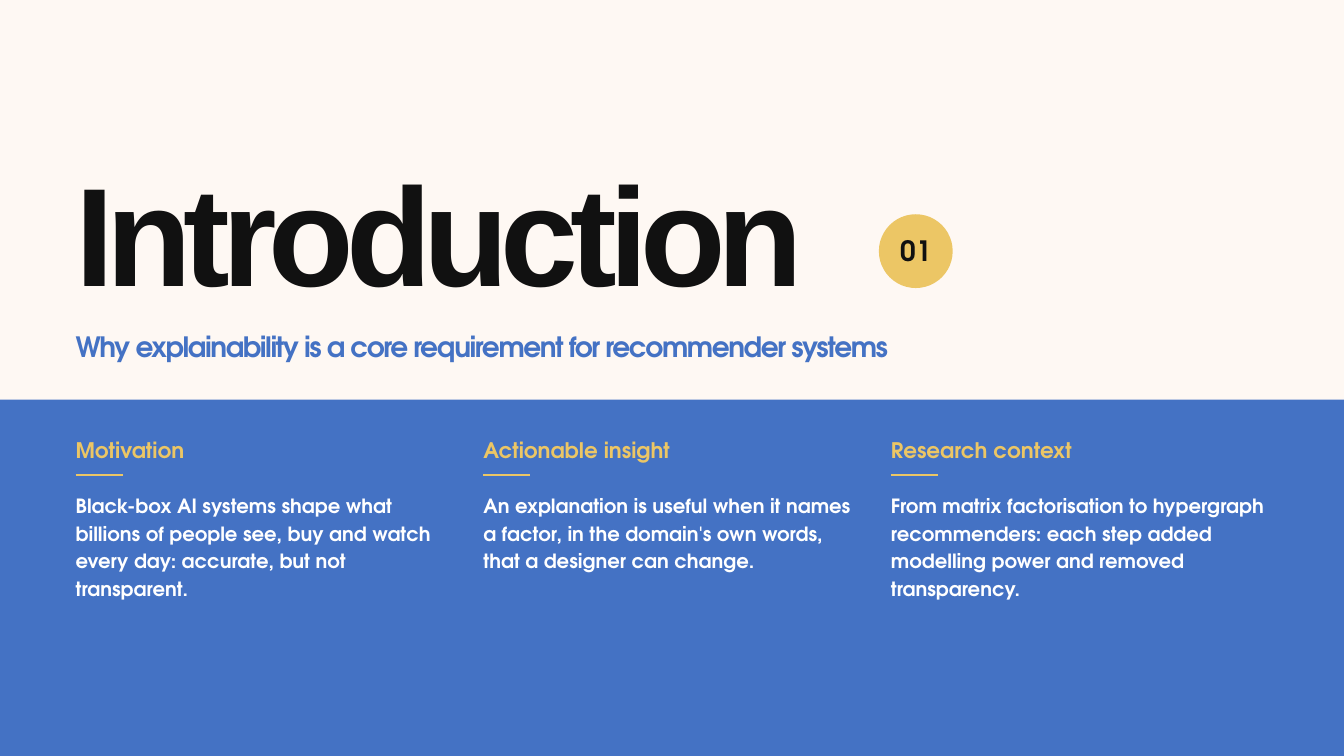
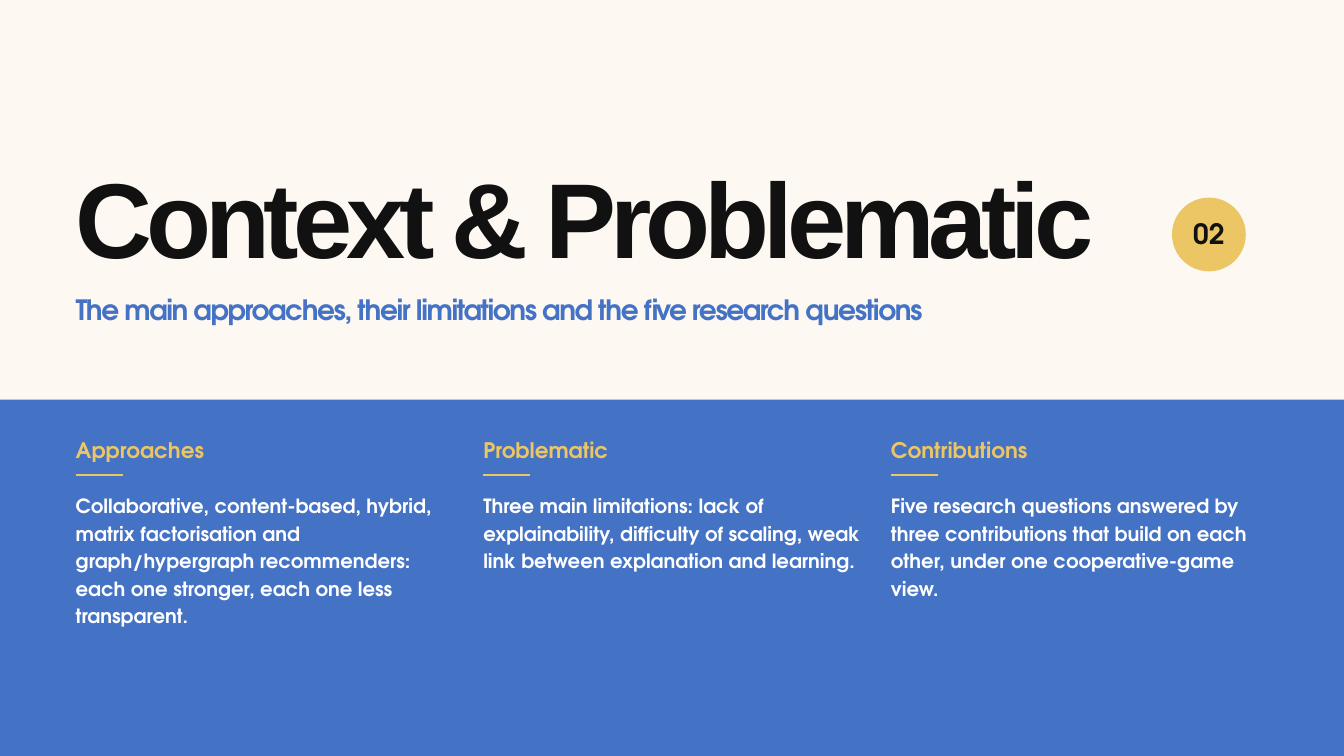
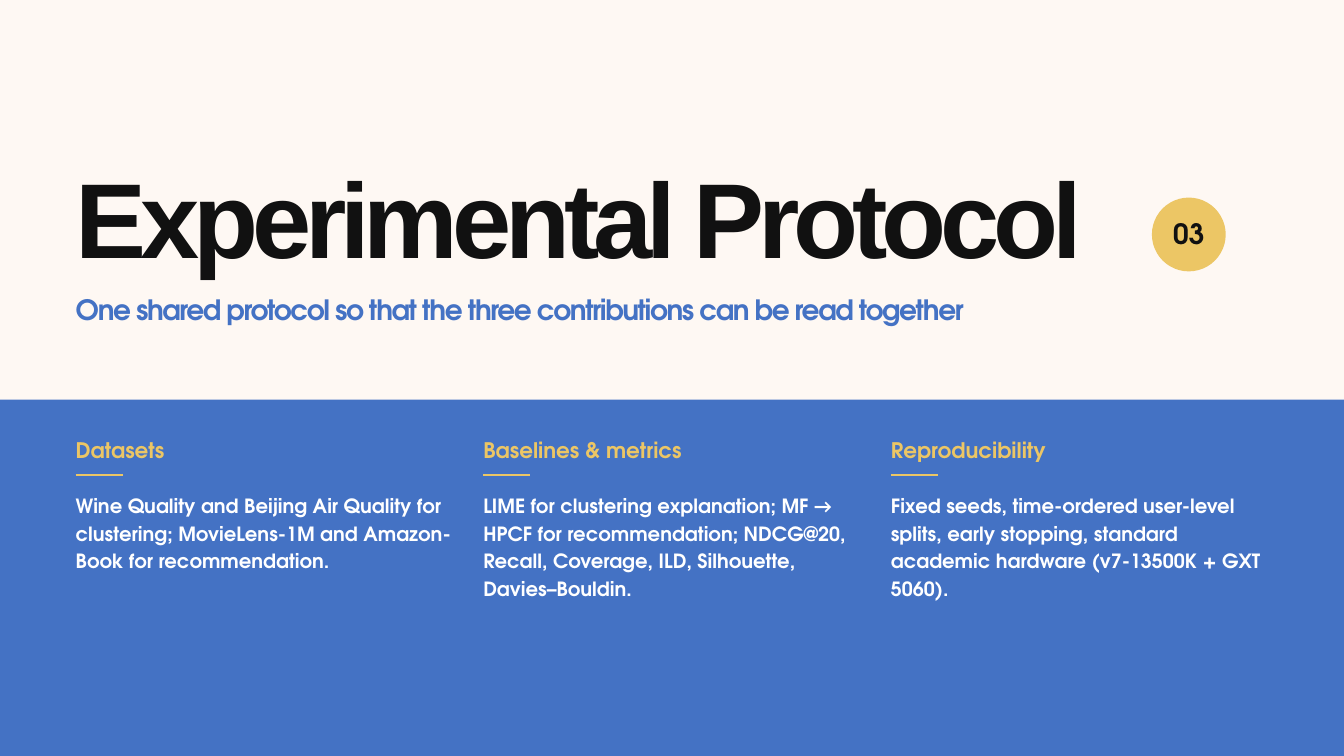
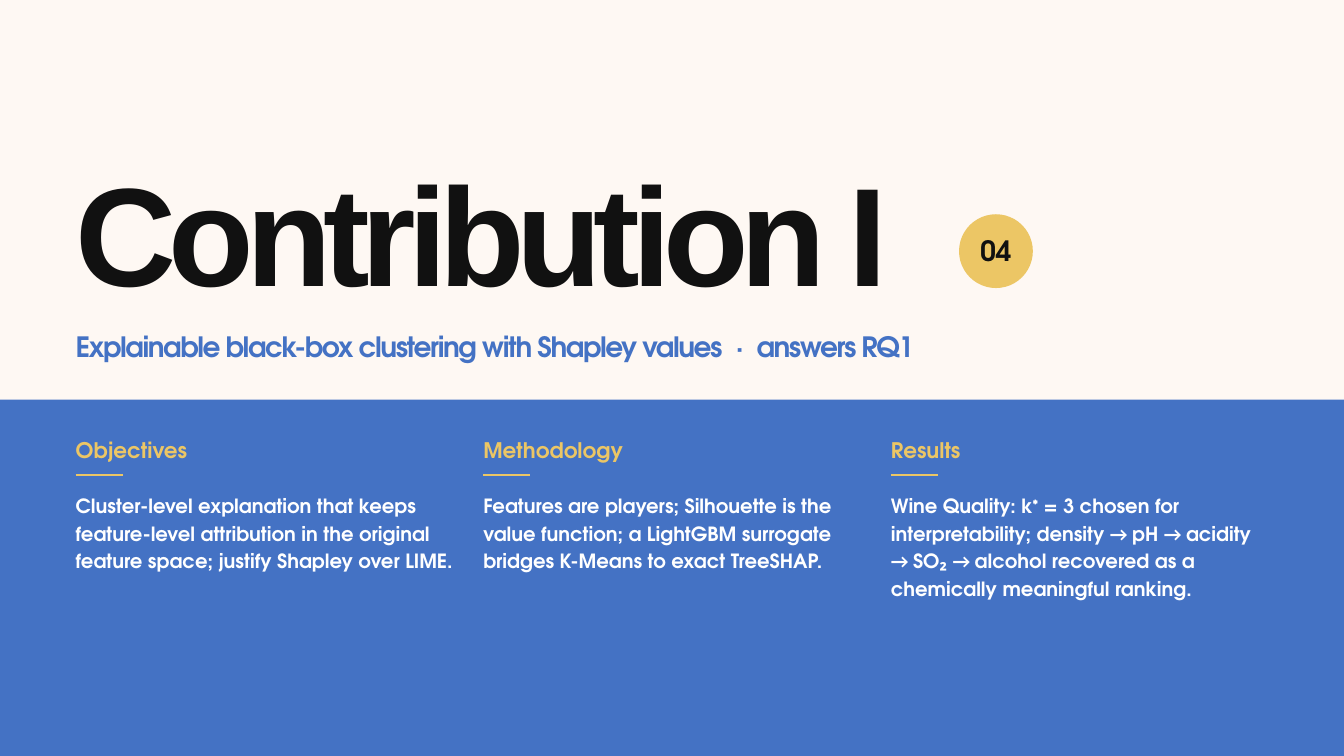
import collections

import pptx
import pptx.dml.color
import pptx.enum.shapes
import pptx.enum.text
import pptx.oxml.ns
import pptx.util
from lxml import etree

Cm = pptx.util.Cm
Pt = pptx.util.Pt
RGBColor = pptx.dml.color.RGBColor

# Shared look
CREAM = RGBColor(0xFE, 0xF8, 0xF3)
BLUE = RGBColor(0x44, 0x72, 0xC4)
GOLD = RGBColor(0xEC, 0xC6, 0x65)
BLACK = RGBColor(0x11, 0x11, 0x11)
WHITE = RGBColor(0xFF, 0xFF, 0xFF)

TITLE_FONT = "Arial"
BODY_FONT = "TeX Gyre Adventor"
ARROW = ("→ ", {"font": "Calibri"})
WIDE_SPACE = (" ", {"spacing": 5.3})

# Shared layout, in centimetres
SLIDE_WIDTH, SLIDE_HEIGHT = 50.8, 28.58
MARGIN = 2.86
CONTENT_WIDTH = SLIDE_WIDTH - 2 * MARGIN
BAND_TOP = 15.11
COLUMN_GAP = 1.14
BADGE_SIZE = 2.79

# Long titles take the smaller size, which moves the badge and subtitle up
TitleStyle = collections.namedtuple(
    "TitleStyle", "size height badge_top subtitle_top")
LARGE = TitleStyle(150, 6.35, 8.1, 12.4)
SMALL = TitleStyle(114, 4.83, 7.47, 10.97)

Section = collections.namedtuple(
    "Section", "number title style badge_left subtitle columns")

SECTIONS = [
    Section("01", "Introduction", LARGE, 33.22,
            "Why explainability is a core requirement for recommender systems",
            [("Motivation",
              "Black-box AI systems shape what billions of people see, buy and "
              "watch every day: accurate, but not transparent."),
             ("Actionable insight",
              "An explanation is useful when it names a factor, in the "
              "domain's own words, that a designer can change."),
             ("Research context",
              "From matrix factorisation to hypergraph recommenders: each step "
              "added modelling power and removed transparency.")]),
    Section("02", "Context & Problematic", SMALL, 44.3,
            "The main approaches, their limitations and the five research "
            "questions",
            [("Approaches",
              "Collaborative, content-based, hybrid, matrix factorisation and "
              "graph/hypergraph recommenders: each one stronger, each one less "
              "transparent."),
             ("Problematic",
              "Three main limitations: lack of explainability, difficulty of "
              "scaling, weak link between explanation and learning."),
             ("Contributions",
              "Five research questions answered by three contributions that "
              "build on each other, under one cooperative-game view.")]),
    Section("03", "Experimental Protocol", SMALL, 43.54,
            "One shared protocol so that the three contributions can be read "
            "together",
            [("Datasets",
              "Wine Quality and Beijing Air Quality for clustering; "
              "MovieLens-1M and Amazon-Book for recommendation."),
             ("Baselines & metrics",
              ["LIME for clustering explanation; MF ", ARROW,
               "HPCF for recommendation; NDCG@20, Recall, Coverage, ILD, "
               "Silhouette, Davies–Bouldin."]),
             ("Reproducibility",
              "Fixed seeds, time-ordered user-level splits, early stopping, "
              "standard academic hardware (v7-13500K + GXT 5060).")]),
    Section("04", "Contribution I", LARGE, 36.25,
            ["Explainable black-box clustering with Shapley values",
             WIDE_SPACE, "·", WIDE_SPACE, "answers RQ1"],
            [("Objectives",
              "Cluster-level explanation that keeps feature-level attribution "
              "in the original feature space; justify Shapley over LIME."),
             ("Methodology",
              "Features are players; Silhouette is the value function; a "
              "LightGBM surrogate bridges K-Means to exact TreeSHAP."),
             ("Results",
              ["Wine Quality: k", ("*", {"baseline": 30}),
               " = 3 chosen for interpretability; density ", ARROW, "pH ",
               ARROW, "acidity ", ARROW, "SO₂ ", ARROW,
               "alcohol recovered as a chemically meaningful ranking."])]),
]


def add_run(paragraph, text, *, size, color, font=BODY_FONT, spacing=0,
            baseline=0):
    run = paragraph.add_run()
    run.text = text
    run.font.name = font
    run.font.size = Pt(size)
    run.font.bold = True
    run.font.color.rgb = color
    properties = run._r.get_or_add_rPr()
    if spacing:
        properties.set("spc", str(round(spacing * 100)))
    if baseline:
        properties.set("baseline", str(baseline * 1000))


def add_text(slide, box, content, *, line_height, centered=False,
             **run_format):
    """Content is a string, or a list of strings and (string, format) pairs."""
    shape = slide.shapes.add_textbox(*map(Cm, box))
    frame = shape.text_frame
    frame.word_wrap = True
    frame.margin_left = frame.margin_right = 0
    frame.margin_top = frame.margin_bottom = 0
    paragraph = frame.paragraphs[0]
    paragraph.line_spacing = Pt(line_height)
    if centered:
        frame.vertical_anchor = pptx.enum.text.MSO_ANCHOR.MIDDLE
        paragraph.alignment = pptx.enum.text.PP_ALIGN.CENTER
    for part in [content] if isinstance(content, str) else content:
        text, changes = (part, {}) if isinstance(part, str) else part
        add_run(paragraph, text, **{**run_format, **changes})


def add_filled_shape(slide, kind, box, color):
    shape = slide.shapes.add_shape(kind, *map(Cm, box))
    shape.shadow.inherit = False
    shape.fill.solid()
    shape.fill.fore_color.rgb = color
    shape.line.fill.background()


def add_rule(slide, left, top, width):
    rule = slide.shapes.add_connector(
        pptx.enum.shapes.MSO_CONNECTOR.STRAIGHT,
        Cm(left), Cm(top), Cm(left + width), Cm(top))
    rule.line.color.rgb = GOLD
    rule.line.width = Pt(2.5)
    etree.SubElement(rule._element.spPr, pptx.oxml.ns.qn("a:effectLst"))


def add_badge(slide, box, number):
    add_filled_shape(slide, pptx.enum.shapes.MSO_SHAPE.OVAL, box, GOLD)
    add_text(slide, box, number, size=30, color=BLACK, line_height=34,
             centered=True)


def add_heading(slide, left, width, section):
    style = section.style
    add_text(slide, (left, 6.48, width - 3.81, style.height), section.title,
             size=style.size, color=BLACK, font=TITLE_FONT,
             line_height=style.size * 1.02, spacing=style.size * -0.058)
    add_badge(slide, (section.badge_left, style.badge_top,
                      BADGE_SIZE, BADGE_SIZE), section.number)
    add_text(slide, (left, style.subtitle_top, width, 1.78), section.subtitle,
             size=30, color=BLUE, line_height=38, spacing=-1.5)


def add_column(slide, left, top, width, heading, body):
    add_text(slide, (left, top, width, 1.27), heading,
             size=23, color=GOLD, line_height=28)
    add_rule(slide, left, top + 1.45, 1.78)
    add_text(slide, (left, top + 2.03, width, 8.64), body,
             size=21, color=WHITE, line_height=29.4)


def add_band(slide, box, columns):
    left, top, width, height = box
    add_filled_shape(slide, pptx.enum.shapes.MSO_SHAPE.RECTANGLE, box, BLUE)
    inner_width = width - 2 * MARGIN
    column_width = (inner_width + COLUMN_GAP) / len(columns) - COLUMN_GAP
    for index, (heading, body) in enumerate(columns):
        column_left = left + MARGIN + index * (column_width + COLUMN_GAP)
        add_column(slide, column_left, top + 1.4, column_width, heading, body)


def add_section_slide(presentation, section):
    slide = presentation.slides.add_slide(presentation.slide_layouts[6])
    slide.background.fill.solid()
    slide.background.fill.fore_color.rgb = CREAM
    add_heading(slide, MARGIN, CONTENT_WIDTH, section)
    add_band(slide, (0, BAND_TOP, SLIDE_WIDTH, SLIDE_HEIGHT - BAND_TOP),
             section.columns)


def main():
    presentation = pptx.Presentation()
    presentation.slide_width = Cm(SLIDE_WIDTH)
    presentation.slide_height = Cm(SLIDE_HEIGHT)
    for section in SECTIONS:
        add_section_slide(presentation, section)
    presentation.save("out.pptx")


if __name__ == "__main__":
    main()
